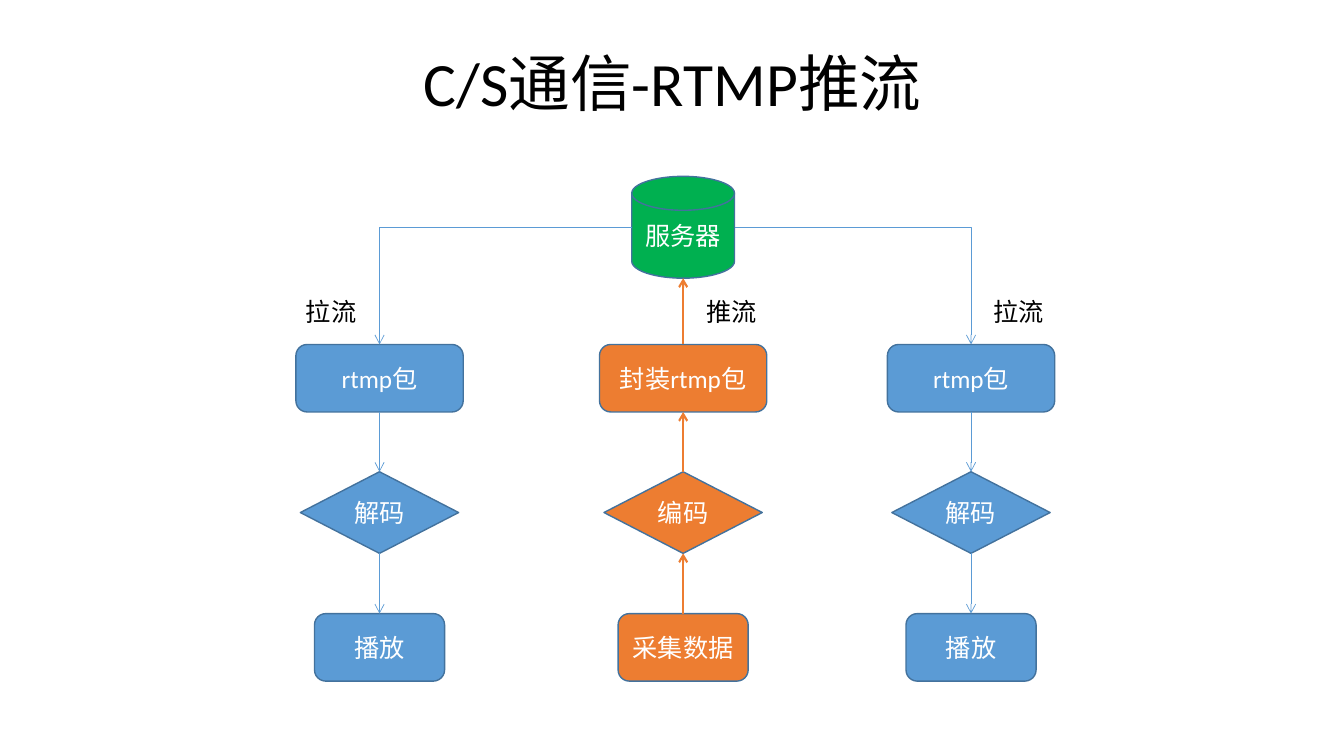
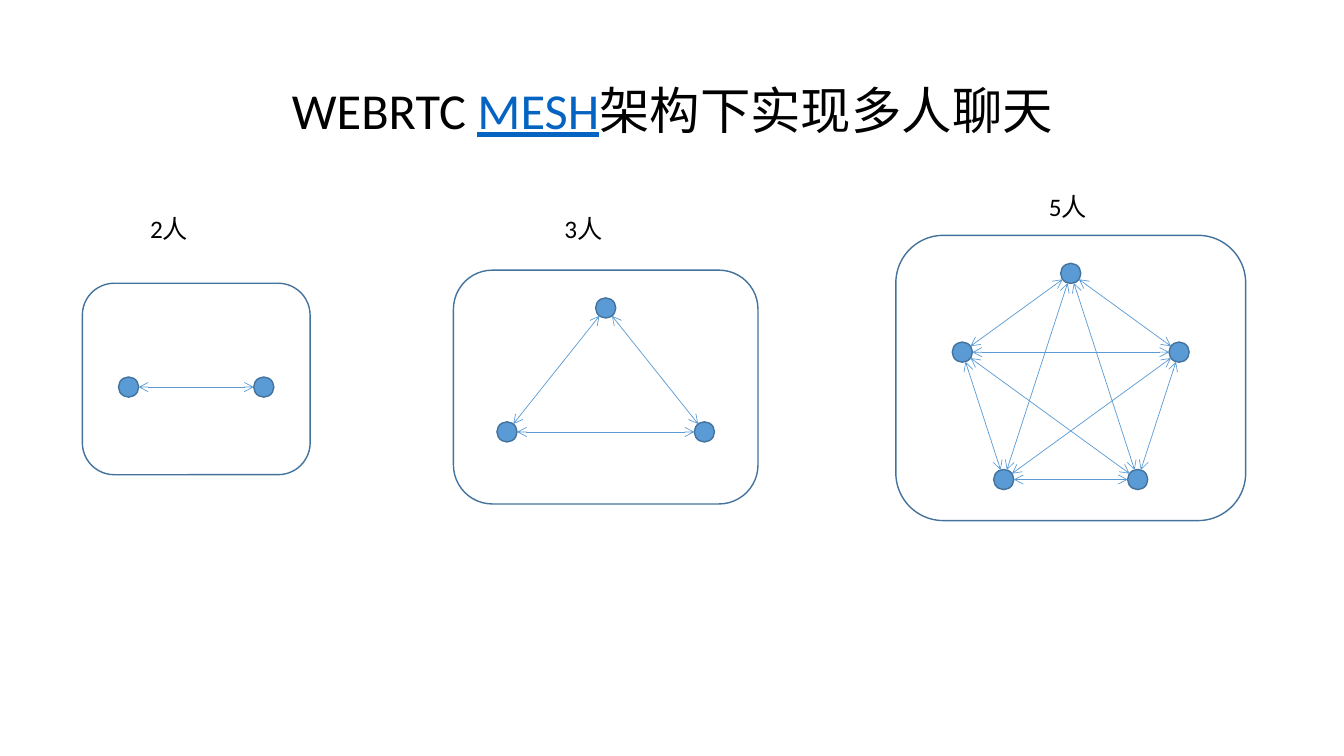
from dataclasses import dataclass
from itertools import combinations
from math import cos, hypot, pi, sin
from typing import Any

from lxml import etree
from pptx import Presentation
from pptx.dml.color import RGBColor
from pptx.enum import shapes, text
from pptx.oxml import ns
from pptx.util import Emu, Inches, Pt

COLOURS = {
    "play": "5B9BD5",
    "push": "ED7D31",
    "server": "00B050",
    "outline": "43729D",
    "ink": "000000",
    "paper": "FFFFFF",
    "link": "0563C1",
}
FONT = "Calibri"
WIDTH, HEIGHT = Inches(13.33), Inches(7.5)
NODE_SIZE = Inches(0.2)
TITLE_LEFT, TITLE_WIDTH, TITLE_HEIGHT = 6.9, 86.27, 19.33
LABEL_HEIGHT = 5.33
FLOW_LABEL_WIDTH, PEOPLE_LABEL_WIDTH = 5.3, 4.95
SERVER_Y, PACKET_Y, CODEC_Y, DEVICE_Y = 30.07, 50.03, 67.8, 85.63
SERVER_SIZE = (7.65, 13.47)
FLOW_LABEL_Y = 38.53
CENTRED = {"alignment": text.PP_ALIGN.CENTER}
TITLE_FRAME = {"word_wrap": True, "vertical_anchor": text.MSO_ANCHOR.MIDDLE}
LABEL_FRAME = {"word_wrap": False, "auto_size": text.MSO_AUTO_SIZE.SHAPE_TO_FIT_TEXT}
PRESET = shapes.MSO_SHAPE


@dataclass(frozen=True)
class Step:
    preset: Any
    y: float
    width: float
    height: float


@dataclass(frozen=True)
class Lane:
    x: float
    colour: str
    captions: tuple[str, str, str]
    label: str
    label_x: float
    upward: bool = False


@dataclass(frozen=True)
class Mesh:
    people: int
    x: float
    y: float
    radius_x: float
    radius_y: float
    start: float
    frame_y: float
    frame_width: float
    frame_height: float
    label_x: float
    label_y: float


STEPS = (
    Step(PRESET.FLOWCHART_ALTERNATE_PROCESS, PACKET_Y, 12.45, 8.93),
    Step(PRESET.FLOWCHART_DECISION, CODEC_Y, 11.78, 10.8),
    Step(PRESET.FLOWCHART_ALTERNATE_PROCESS, DEVICE_Y, 9.68, 8.93),
)
PLAYBACK = ("rtmp包", "解码", "播放")
LANES = (
    Lane(28.24, "play", PLAYBACK, "拉流", 22.03),
    Lane(50.83, "push", ("封装rtmp包", "编码", "采集数据"), "推流", 51.81, True),
    Lane(72.25, "play", PLAYBACK, "拉流", 73.2),
)
MESHES = (
    Mesh(2, 14.6, 51.2, 5.03, 0, 0, 50.13, 16.95, 25.33, 10.43, 27.6),
    Mesh(3, 45.07, 51.67, 8.48, 10.93, -pi / 2, 51.2, 22.66, 30.93, 41.26, 27.6),
    Mesh(5, 79.67, 51.24, 8.48, 15.07, -pi / 2, 50, 26.03, 37.73, 77.3, 24.6),
)


def across(share: float) -> Emu:
    return Emu(round(WIDTH * share / 100))


def down(share: float) -> Emu:
    return Emu(round(HEIGHT * share / 100))


def rgb(name: str) -> RGBColor:
    return RGBColor.from_string(COLOURS[name])


def apply(target: Any, formats: dict[str, Any]) -> None:
    for attribute, value in formats.items():
        setattr(target, attribute, value)


def write(paragraph: Any, words: str, size: float, colour: str, underline: bool = False) -> None:
    run = paragraph.add_run()
    run.text = words
    apply(run.font, {"name": FONT, "size": Pt(size), "underline": underline})
    run.font.color.rgb = rgb(colour)


def add_title(slide: Any, top: float, size: float, *parts: tuple[str, str]) -> None:
    title = slide.shapes.add_textbox(
        across(TITLE_LEFT), down(top), across(TITLE_WIDTH), down(TITLE_HEIGHT)
    )
    apply(title.text_frame, TITLE_FRAME)
    paragraph = title.text_frame.paragraphs[0]
    apply(paragraph, CENTRED | {"line_spacing": 0.9})
    for words, colour in parts:
        write(paragraph, words, size, colour, colour == "link")


def add_label(slide: Any, words: str, left: float, top: float, width: float) -> None:
    label = slide.shapes.add_textbox(across(left), down(top), across(width), down(LABEL_HEIGHT))
    apply(label.text_frame, LABEL_FRAME)
    write(label.text_frame.paragraphs[0], words, 18, "ink")


def add_figure(
    slide: Any, preset: Any, x: int, y: int, width: int, height: int,
    colour: str | None = None, caption: str = "",
) -> Any:
    figure = slide.shapes.add_shape(preset, x - width // 2, y - height // 2, width, height)
    figure.shadow.inherit = False
    if colour:
        figure.fill.solid()
        figure.fill.fore_color.rgb = rgb(colour)
    else:
        figure.fill.background()
    figure.line.color.rgb = rgb("outline")
    figure.line.width = Pt(1)
    if caption:
        apply(figure.text_frame, TITLE_FRAME)
        paragraph = figure.text_frame.paragraphs[0]
        apply(paragraph, CENTRED)
        write(paragraph, caption, 18, "paper")
    return figure


def add_arrow(
    slide: Any, start: tuple[int, int], end: tuple[int, int], colour: str = "play",
    width: float = 0.5, both: bool = False, bent: bool = False,
) -> Any:
    kind = shapes.MSO_CONNECTOR.ELBOW if bent else shapes.MSO_CONNECTOR.STRAIGHT
    arrow = slide.shapes.add_connector(kind, *start, *end)
    arrow.line.color.rgb = rgb(colour)
    arrow.line.width = Pt(width)
    outline = arrow.line._get_or_add_ln()
    for tip in ("a:headEnd", "a:tailEnd") if both else ("a:tailEnd",):
        etree.SubElement(outline, ns.qn(tip), type="arrow")
    properties = arrow._element.spPr
    etree.SubElement(properties, ns.qn("a:effectLst"))
    if bent:
        properties.find(ns.qn("a:prstGeom")).set("prst", "bentConnector2")
    return arrow


def draw_lane(slide: Any, lane: Lane) -> None:
    x = across(lane.x)
    boxes = [
        add_figure(
            slide, step.preset, x, down(step.y), across(step.width), down(step.height),
            lane.colour, caption,
        )
        for step, caption in zip(STEPS, lane.captions)
    ]
    weight = 1.5 if lane.upward else 0.5
    for upper, lower in zip(boxes, boxes[1:]):
        ends = ((upper, 2), (lower, 0))
        source, target = reversed(ends) if lane.upward else ends
        arrow = add_arrow(slide, (x, upper.top), (x, lower.top), lane.colour, weight)
        arrow.begin_connect(*source)
        arrow.end_connect(*target)

    packet_top = (x, boxes[0].top)
    server_x, server_y = across(LANES[1].x), down(SERVER_Y)
    if lane.upward:
        server_bottom = (x, server_y + down(SERVER_SIZE[1]) // 2)
        arrow = add_arrow(slide, packet_top, server_bottom, lane.colour, weight)
        arrow.begin_connect(boxes[0], 0)
    else:
        side = 1 if x > server_x else -1
        server_side = (server_x + side * across(SERVER_SIZE[0]) // 2, server_y)
        add_arrow(slide, server_side, packet_top, lane.colour, weight, bent=True)
    add_label(slide, lane.label, lane.label_x, FLOW_LABEL_Y, FLOW_LABEL_WIDTH)


def draw_mesh(slide: Any, mesh: Mesh) -> None:
    add_figure(
        slide, PRESET.FLOWCHART_ALTERNATE_PROCESS, across(mesh.x), down(mesh.frame_y),
        across(mesh.frame_width), down(mesh.frame_height),
    )
    angles = [mesh.start + 2 * pi * index / mesh.people for index in range(mesh.people)]
    nodes = [
        (across(mesh.x + mesh.radius_x * cos(angle)), down(mesh.y + mesh.radius_y * sin(angle)))
        for angle in angles
    ]
    for x, y in nodes:
        add_figure(slide, PRESET.FLOWCHART_CONNECTOR, x, y, NODE_SIZE, NODE_SIZE, "play")
    for (x1, y1), (x2, y2) in combinations(nodes, 2):
        trim = NODE_SIZE / 2 / hypot(x2 - x1, y2 - y1)
        dx, dy = round((x2 - x1) * trim), round((y2 - y1) * trim)
        add_arrow(slide, (x1 + dx, y1 + dy), (x2 - dx, y2 - dy), both=True)
    add_label(slide, f"{mesh.people}人", mesh.label_x, mesh.label_y, PEOPLE_LABEL_WIDTH)


def main() -> None:
    deck = Presentation()
    apply(deck, {"slide_width": WIDTH, "slide_height": HEIGHT})
    blank = deck.slide_layouts[6]

    streaming = deck.slides.add_slide(blank)
    add_title(streaming, 1.73, 44, ("C/S通信-RTMP推流", "ink"))
    add_figure(
        streaming, PRESET.FLOWCHART_MAGNETIC_DISK, across(LANES[1].x), down(SERVER_Y),
        across(SERVER_SIZE[0]), down(SERVER_SIZE[1]), "server", "服务器",
    )
    for lane in LANES:
        draw_lane(streaming, lane)

    chat = deck.slides.add_slide(blank)
    add_title(
        chat, 5.33, 36, ("WEBRTC ", "ink"), ("MESH", "link"), ("架构下实现多人聊天", "ink")
    )
    for mesh in MESHES:
        draw_mesh(chat, mesh)

    deck.save("out.pptx")


if __name__ == "__main__":
    main()
